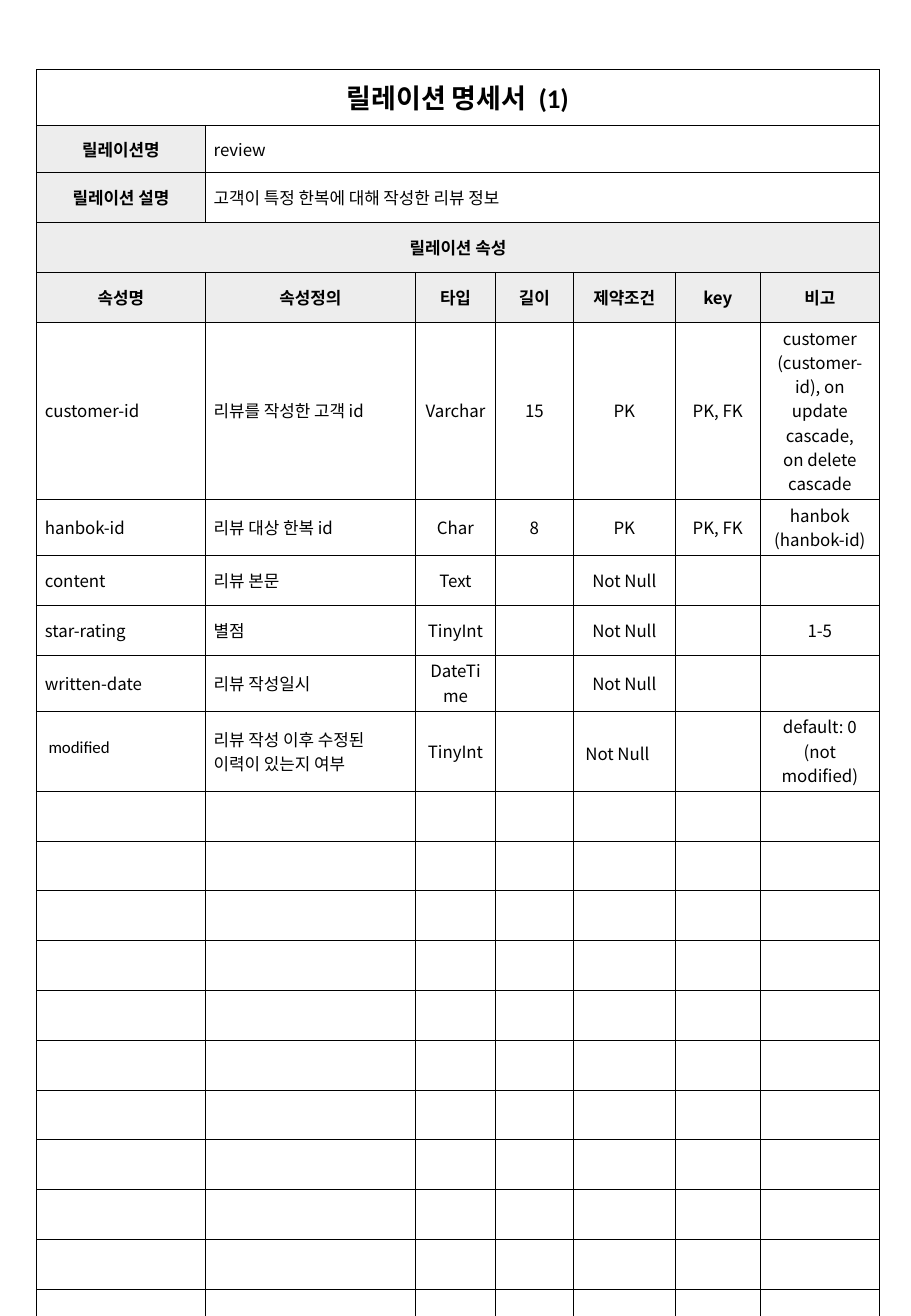
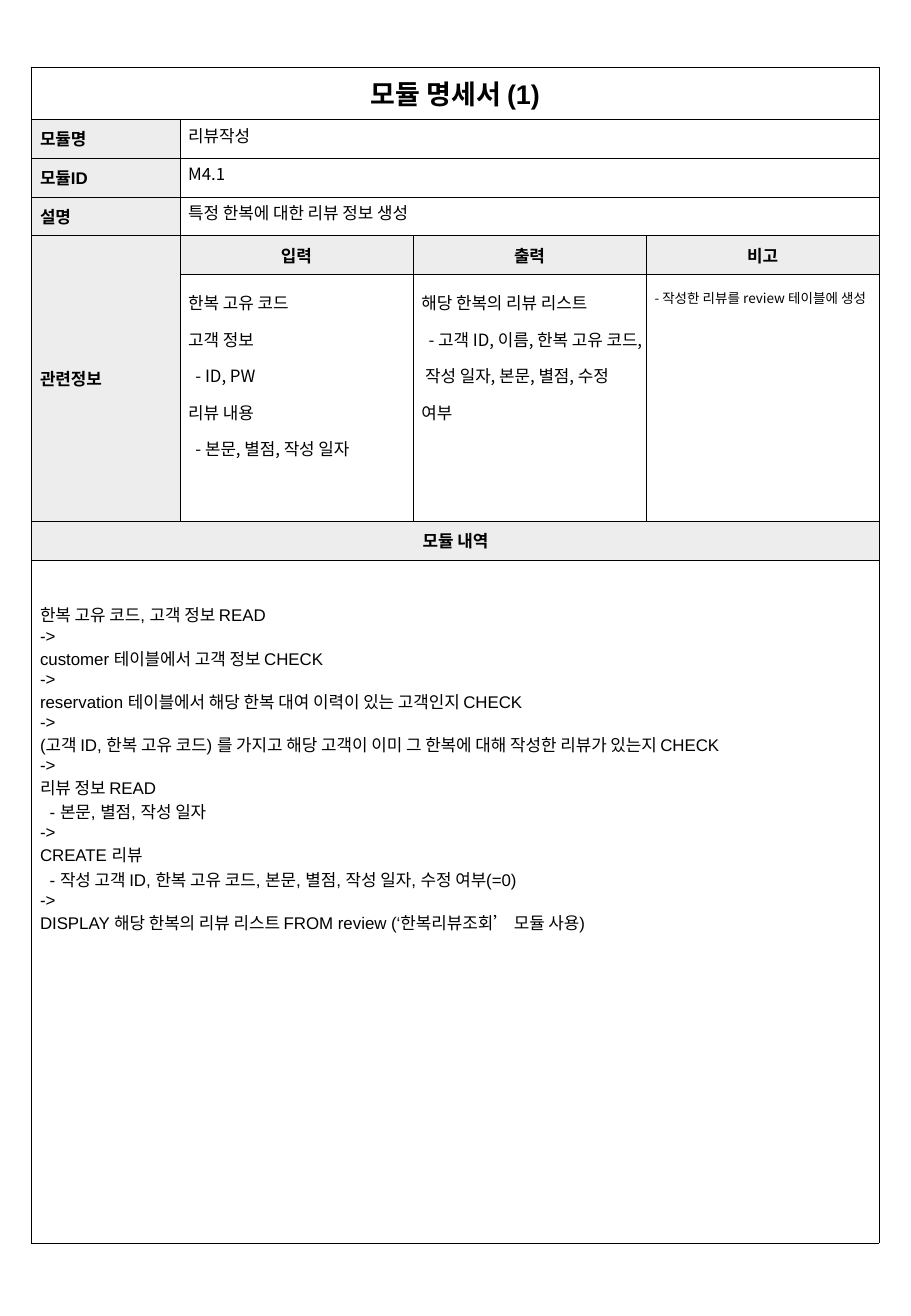
import pptx
import pptx.dml.color
import pptx.enum.text
import pptx.oxml.ns
import pptx.util
from lxml import etree

INCH = pptx.util.Inches
MIDDLE = pptx.enum.text.MSO_ANCHOR.MIDDLE
TOP = pptx.enum.text.MSO_ANCHOR.TOP
CENTER = pptx.enum.text.PP_ALIGN.CENTER
LEFT = pptx.enum.text.PP_ALIGN.LEFT

KOREAN_FONT = "Noto Sans CJK KR"
BLACK, WHITE, GREY = "000000", "FFFFFF", "EDEDED"

CELL = {"margin_left": INCH(0.07), "margin_right": INCH(0.07),
        "margin_top": INCH(0.03), "margin_bottom": INCH(0.03), "vertical_anchor": MIDDLE}
PARAGRAPH = {"alignment": LEFT, "line_spacing": None}
FONT = {"name": KOREAN_FONT, "size": pptx.util.Pt(10), "bold": False}
LOOSE = {"margin_left": INCH(0.1), "margin_right": INCH(0.1), "margin_top": INCH(0.05),
         "margin_bottom": INCH(0.05), "vertical_anchor": TOP, "line_spacing": 2}

VALUE = {}
CENTERED = {"alignment": CENTER}
TITLE = {"alignment": CENTER, "bold": True, "size": pptx.util.Pt(16)}
LABEL = {"bold": True, "fill": GREY}
HEADING = LABEL | CENTERED
ARIAL = {"name": "Arial"}
CALIBRI = {"name": "Calibri"}
TOP_VALUE = {"vertical_anchor": TOP}
DETAIL = TOP_VALUE | {"line_spacing": 1.5, "dash_indent": 0.06}
NOTE = TOP_VALUE | {"line_spacing": 1.5, "size": pptx.util.Pt(8)}
STEPS = TOP_VALUE | ARIAL | {"margin_top": INCH(0.35), "dash_indent": 0.08}


def rgb(value):
    return pptx.dml.color.RGBColor.from_string(value)


def apply(target, defaults, style):
    for key, default in defaults.items():
        setattr(target, key, style.get(key, default))


def add_element(parent, tag, **attributes):
    return etree.SubElement(parent, pptx.oxml.ns.qn(tag), attributes)


def add_borders(cell):
    properties = cell._tc.get_or_add_tcPr()
    for side in "LRTB":
        border = add_element(properties, f"a:ln{side}", w=str(pptx.util.Pt(0.25)))
        add_element(add_element(border, "a:solidFill"), "a:srgbClr", val=BLACK)


def format_cell(cell, text, style):
    add_borders(cell)
    apply(cell, CELL, style)
    cell.fill.solid()
    cell.fill.fore_color.rgb = rgb(style.get("fill", WHITE))
    cell.text_frame.text = text
    for paragraph in cell.text_frame.paragraphs:
        apply(paragraph, PARAGRAPH, style)
        if "dash_indent" in style and paragraph.text.startswith("- "):
            paragraph._p.get_or_add_pPr().set("indent", str(INCH(style["dash_indent"])))
        for run in paragraph.runs:
            apply(run.font, FONT, style)
            run.font.color.rgb = rgb(BLACK)
            add_element(run._r.get_or_add_rPr(), "a:ea", typeface=KOREAN_FONT)
        if not paragraph.runs:
            add_element(paragraph._p, "a:endParaRPr", sz="1000")


def add_form(deck, left, top, widths, heights, contents, merges):
    slide = deck.slides.add_slide(deck.slide_layouts[6])
    form = slide.shapes.add_table(len(heights), len(widths), INCH(left), INCH(top),
                                  INCH(sum(widths)), INCH(sum(heights))).table
    form.first_row = form.horz_banding = False
    for column, width in zip(form.columns, widths):
        column.width = INCH(width)
    for row, height in zip(form.rows, heights):
        row.height = INCH(height)
    for r in range(len(heights)):
        for c in range(len(widths)):
            text, style = contents.get((r, c), ("", VALUE))
            format_cell(form.cell(r, c), text, style)
    for first, last in merges:
        form.cell(*first).merge(form.cell(*last))


def add_relation_form(deck):
    headings = ["속성명", "속성정의", "타입", "길이", "제약조건", "key", "비고"]
    attributes = [
        ["customer-id", "리뷰를 작성한 고객 id", "Varchar", "15", "PK", "PK, FK",
         "customer (customer-id), on update cascade,\non delete cascade"],
        ["hanbok-id", "리뷰 대상 한복 id", "Char", "8", "PK", "PK, FK", "hanbok (hanbok-id)"],
        ["content", "리뷰 본문", "Text", "", "Not Null", "", ""],
        ["star-rating", "별점", "TinyInt", "", "Not Null", "", "1-5"],
        ["written-date", "리뷰 작성일시", "DateTime", "", "Not Null", "", ""],
        ["modified", "리뷰 작성 이후 수정된 이력이 있는지 여부", "TinyInt", "", "Not Null", "",
         "default: 0 (not modified)"],
    ]
    contents = {
        (0, 0): ("릴레이션 명세서  (1)", TITLE | CALIBRI),
        (1, 0): ("릴레이션명", HEADING),
        (1, 1): ("review", VALUE),
        (2, 0): ("릴레이션 설명", HEADING),
        (2, 1): ("고객이 특정 한복에 대해 작성한 리뷰 정보", CALIBRI),
        (3, 0): ("릴레이션 속성", HEADING),
    }
    for c, heading in enumerate(headings):
        contents[4, c] = (heading, HEADING)
    for r, attribute in enumerate(attributes, 5):
        for c, text in enumerate(attribute):
            contents[r, c] = (text, VALUE if c < 2 else CENTERED)
    contents[10, 0] = (attributes[-1][0], LOOSE | CALIBRI)
    contents[10, 4] = (attributes[-1][4], LOOSE)
    merges = [((r, c), (r, 6)) for r, c in ((0, 0), (1, 1), (2, 1), (3, 0))]
    add_form(deck, 0.3, 0.57, [1.39, 1.73, 0.66, 0.64, 0.84, 0.7, 0.98],
             [0.46, 0.39] + [0.41] * 21, contents, merges)


def add_module_form(deck):
    summary = [("모듈명", "리뷰작성"), ("모듈ID", "M4.1"),
               ("설명", "특정 한복에 대한 리뷰 정보 생성")]
    related = [
        ("입력", "한복 고유 코드\n고객 정보\n- ID, PW\n리뷰 내용\n- 본문, 별점, 작성 일자", DETAIL),
        ("출력", "해당 한복의 리뷰 리스트\n"
                 "- 고객 ID, 이름, 한복 고유 코드, 작성 일자, 본문, 별점, 수정 여부", DETAIL),
        ("비고", "- 작성한 리뷰를 review 테이블에 생성", NOTE),
    ]
    steps = [
        "한복 고유 코드, 고객 정보 READ",
        "customer 테이블에서 고객 정보 CHECK",
        "reservation 테이블에서 해당 한복 대여 이력이 있는 고객인지 CHECK",
        "(고객 ID, 한복 고유 코드) 를 가지고 해당 고객이 이미 그 한복에 대해 작성한 리뷰가 있는지 CHECK",
        "리뷰 정보 READ\n- 본문, 별점, 작성 일자",
        "CREATE 리뷰\n- 작성 고객 ID, 한복 고유 코드, 본문, 별점, 작성 일자, 수정 여부(=0)",
        "DISPLAY 해당 한복의 리뷰 리스트 FROM review (‘한복리뷰조회’ 모듈 사용)",
    ]
    contents = {
        (0, 0): ("모듈 명세서 (1)", TITLE | ARIAL),
        (4, 0): ("관련정보", LABEL | ARIAL),
        (6, 0): ("모듈 내역", HEADING | ARIAL),
        (7, 0): ("\n->\n".join(steps), STEPS),
    }
    for r, (label, value) in enumerate(summary, 1):
        contents[r, 0] = (label, LABEL | ARIAL)
        contents[r, 1] = (value, TOP_VALUE)
    for c, (heading, detail, style) in enumerate(related, 1):
        contents[4, c] = (heading, HEADING | ARIAL)
        contents[5, c] = (detail, style)
    merges = [((r, 0), (r, 3)) for r in (0, 6, 7)]
    merges += [((r, 1), (r, 3)) for r in (1, 2, 3)] + [((4, 0), (5, 0))]
    add_form(deck, 0.26, 0.55, [1.22] + [1.92] * 3,
             [0.43] + [0.32] * 4 + [2.03, 0.32, 5.62], contents, merges)


def main():
    deck = pptx.Presentation()
    deck.slide_width, deck.slide_height = INCH(7.5), INCH(10.83)
    add_relation_form(deck)
    add_module_form(deck)
    deck.save("out.pptx")


if __name__ == "__main__":
    main()
